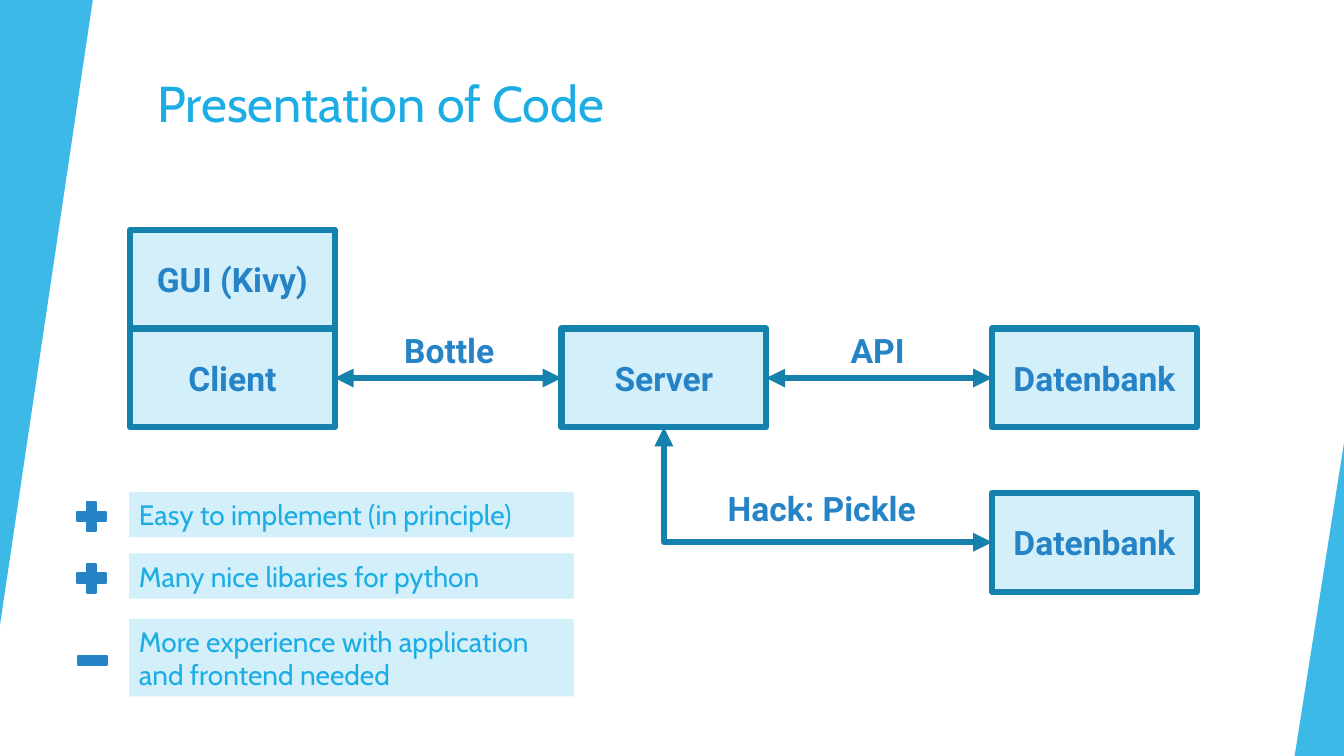
from lxml import etree
from pptx import Presentation
from pptx.dml.color import RGBColor
from pptx.enum.shapes import MSO_CONNECTOR, MSO_SHAPE
from pptx.enum.text import MSO_ANCHOR, PP_ALIGN
from pptx.oxml.ns import qn
from pptx.util import Inches, Pt

SKY = RGBColor(0x1C, 0xAD, 0xE4)
BLUE = RGBColor(0x26, 0x83, 0xC6)
TEAL = RGBColor(0x14, 0x82, 0xAC)
PALE = RGBColor(0xD2, 0xEF, 0xFA)
RECTANGLE, TRIANGLE = MSO_SHAPE.RECTANGLE, MSO_SHAPE.ISOSCELES_TRIANGLE
PLUS, MINUS = MSO_SHAPE.MATH_PLUS, MSO_SHAPE.MATH_MINUS
STRAIGHT, ELBOW = MSO_CONNECTOR.STRAIGHT, MSO_CONNECTOR.ELBOW
LEFT, CENTER = PP_ALIGN.LEFT, PP_ALIGN.CENTER
TOP, MIDDLE = MSO_ANCHOR.TOP, MSO_ANCHOR.MIDDLE
LEFT_SIDE, BOTTOM_SIDE, RIGHT_SIDE = 1, 2, 3
TITLE_ONLY = 5
BOX_WIDTH, BOX_HEIGHT = 2.03, 0.98


class Deck:
    """Draws styled elements on the current slide."""

    def __init__(self, presentation):
        self.slide = presentation.slides.add_slide(presentation.slide_layouts[TITLE_ONLY])

    def set_text(self, shape, text, font_name, size, color, bold=False, align=LEFT, anchor=MIDDLE):
        frame = shape.text_frame
        frame.text = text
        frame.word_wrap = True
        frame.vertical_anchor = anchor
        paragraph = frame.paragraphs[0]
        paragraph.alignment = align
        font = paragraph.font
        font.name, font.size, font.bold = font_name, Pt(size), bold
        font.color.rgb = color

    def title(self, text, left, top, width, height):
        shape = self.slide.shapes.title
        shape.left, shape.top = Inches(left), Inches(top)
        shape.width, shape.height = Inches(width), Inches(height)
        self.set_text(shape, text, "Cabin", 36, SKY, anchor=TOP)

    def shape(self, kind, left, top, width, height, fill, line=None, line_width=0):
        shape = self.slide.shapes.add_shape(
            kind, Inches(left), Inches(top), Inches(width), Inches(height))
        shape.shadow.inherit = False
        shape.fill.solid()
        shape.fill.fore_color.rgb = fill
        if line is None:
            shape.line.fill.background()
        else:
            shape.line.color.rgb = line
            shape.line.width = Pt(line_width)
        return shape

    def wedge(self, left, top, width, height, rotation=0):
        shape = self.shape(TRIANGLE, left, top, width, height, SKY)
        shape.adjustments[0] = 1
        shape.rotation = rotation
        color = shape._element.spPr.find(qn("a:solidFill"))[0]
        etree.SubElement(color, qn("a:alpha"), val="85000")

    def box(self, text, left, top):
        shape = self.shape(RECTANGLE, left, top, BOX_WIDTH, BOX_HEIGHT, PALE, TEAL, 4.5)
        self.set_text(shape, text, "Roboto", 24, BLUE, True, CENTER)
        return shape

    def label(self, text, left, top, width=BOX_WIDTH):
        shape = self.slide.shapes.add_textbox(
            Inches(left), Inches(top), Inches(width), Inches(BOX_HEIGHT))
        self.set_text(shape, text, "Roboto", 24, BLUE, True, CENTER)

    def arrow(self, kind, start, start_side, end, end_side):
        connector = self.slide.shapes.add_connector(kind, 0, 0, 0, 0)
        connector.begin_connect(start, start_side)
        connector.end_connect(end, end_side)
        connector.line.color.rgb = TEAL
        connector.line.width = Pt(4.5)
        properties = connector._element.spPr
        if kind == ELBOW:
            properties.find(qn("a:prstGeom")).set("prst", "bentConnector2")
        line = properties.find(qn("a:ln"))
        for tag in ("a:headEnd", "a:tailEnd"):
            etree.SubElement(line, qn(tag), type="triangle")
        etree.SubElement(properties, qn("a:effectLst"))

    def note(self, sign, text, top, height, sign_left, sign_top):
        self.shape(sign, sign_left, sign_top, 0.39, 0.39, BLUE, BLUE, 1.5)
        shape = self.shape(RECTANGLE, 1.28, top, 4.41, height, PALE)
        self.set_text(shape, text, "Cabin", 20, SKY)


presentation = Presentation()
presentation.slide_width, presentation.slide_height = Inches(13.33), Inches(7.5)
deck = Deck(presentation)

deck.title("Presentation of Code", 1.46, 0.67, 9.4, 0.79)
deck.wedge(0, 0, 0.92, 6.2, rotation=180)
deck.wedge(12.84, 4.39, 0.49, 3.11)

client = deck.box("Client", 1.29, 3.26)
server = deck.box("Server", 5.57, 3.26)
deck.box("GUI (Kivy)", 1.29, 3.26 - BOX_HEIGHT)
api_database = deck.box("Datenbank", 9.84, 3.26)
pickle_database = deck.box("Datenbank", 9.84, 4.89)

deck.arrow(STRAIGHT, client, RIGHT_SIDE, server, LEFT_SIDE)
deck.arrow(STRAIGHT, server, RIGHT_SIDE, api_database, LEFT_SIDE)
deck.arrow(ELBOW, pickle_database, LEFT_SIDE, server, BOTTOM_SIDE)

deck.label("Bottle", 3.44, 2.98)
deck.label("API", 7.69, 2.98)
deck.label("Hack: Pickle", 6.96, 4.55, 2.38)

deck.note(PLUS, "Easy to implement (in principle)", 4.88, 0.45, 0.71, 4.93)
deck.note(PLUS, "Many nice libaries for python", 5.49, 0.45, 0.71, 5.54)
deck.note(MINUS, "More experience with application and frontend needed", 6.14, 0.77, 0.72, 6.36)

presentation.save("out.pptx")
